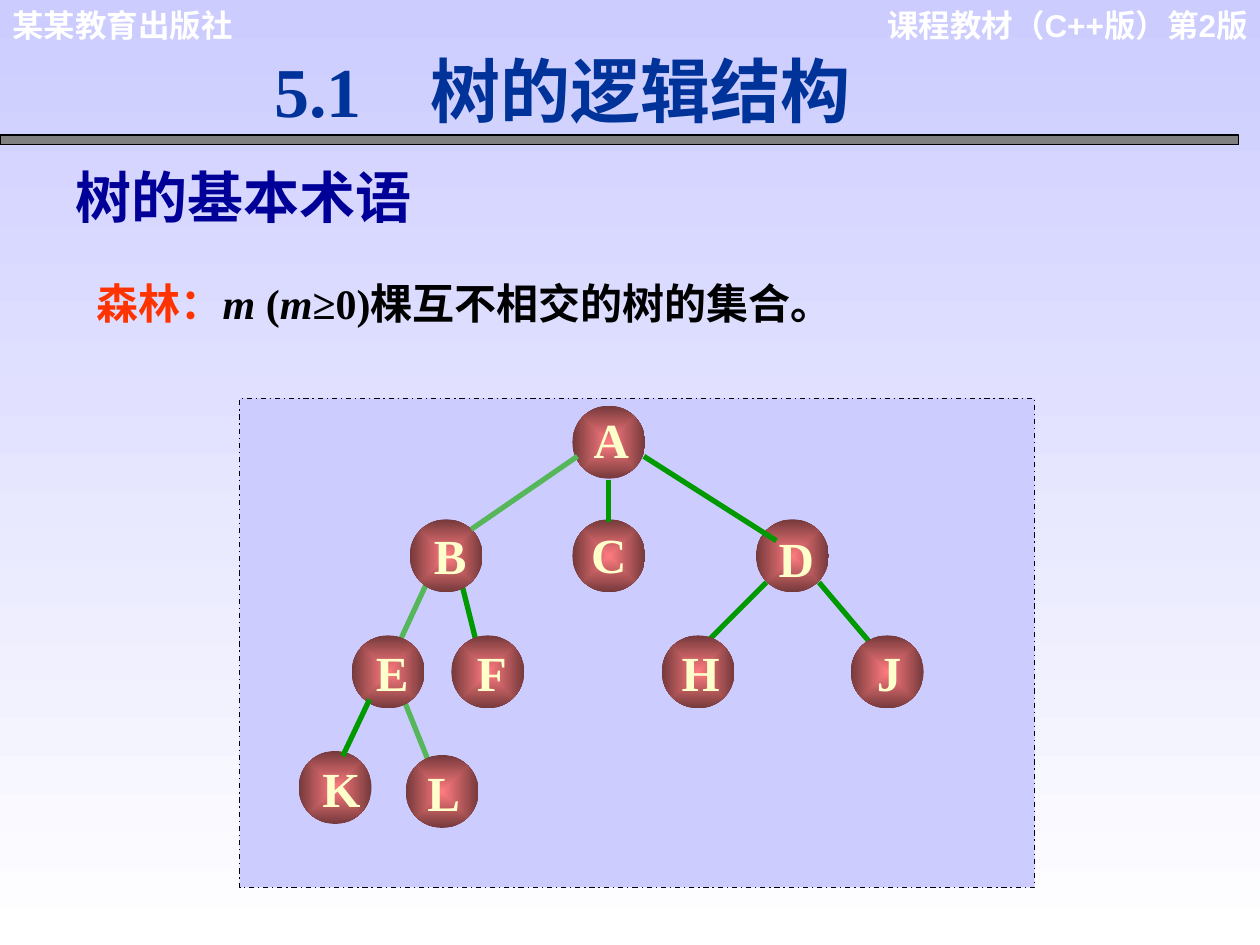
from lxml.etree import SubElement
from pptx import Presentation
from pptx.dml.color import RGBColor
from pptx.enum.dml import MSO_LINE
from pptx.enum.shapes import MSO_CONNECTOR, MSO_SHAPE
from pptx.enum.text import MSO_ANCHOR, MSO_AUTO_SIZE, PP_ALIGN
from pptx.oxml.ns import qn
from pptx.util import Cm, Pt

SERIF, SANS = "Times New Roman", "Arial"
GREEN, PALE_GREEN = "009900", "55B75A"
NODE_SIZE = 1.47
LABEL_W, LABEL_H = 1.2, 1.44

NODES = {
    "A": (6.71, 0.15, 0.05, -0.06),
    "B": (3.43, 2.44, 0.08, -0.01),
    "C": (6.71, 2.44, 0, -0.04),
    "D": (10.41, 2.44, 0.08, 0.04),
    "E": (2.26, 4.78, 0.08, 0.01),
    "F": (4.27, 4.78, 0.08, 0.01),
    "H": (8.51, 4.78, 0.05, 0.01),
    "J": (12.32, 4.78, 0.04, 0.01),
    "K": (1.19, 7.11, 0.13, 0.01),
    "L": (3.35, 7.19, 0.03, 0.01),
}
EDGES_BEHIND = [
    (11.68, 3.71, 12.95, 5.21, GREEN),
    (10.62, 3.71, 9.35, 4.98, GREEN),
    (4.47, 3.71, 4.85, 5.23, GREEN),
    (3.3, 6.05, 3.81, 7.32, PALE_GREEN),
    (3.78, 3.71, 3.25, 4.85, PALE_GREEN),
]
EDGES_FRONT = [
    (2.62, 6.07, 2.08, 7.21, GREEN),
    (8.15, 1.17, 10.82, 2.87, GREEN),
    (6.81, 1.17, 4.67, 2.64, PALE_GREEN),
    (7.44, 1.65, 7.44, 2.49, GREEN),
]


def rgb(color):
    """Turn a hex string into a colour."""
    return RGBColor.from_string(color)


def set_gradient(fill, start, end, angle=270):
    """Fill with a two-stop gradient."""
    fill.gradient()
    fill.gradient_angle = angle
    for stop, color, pos in zip(fill.gradient_stops, (start, end), (0, 1)):
        stop.color.rgb = rgb(color)
        stop.position = pos


def write(s, runs, size, font, align=PP_ALIGN.LEFT, anchor=MSO_ANCHOR.TOP, wrap=True):
    """Write one bold paragraph of (text, colour, italic) runs and return it."""
    tf = s.text_frame
    tf.word_wrap = wrap
    tf.auto_size = MSO_AUTO_SIZE.NONE
    tf.vertical_anchor = anchor
    p = tf.paragraphs[0]
    p.alignment = align
    for text, color, italic in runs:
        r = p.add_run()
        r.text = text
        r.font.size, r.font.name = Pt(size), font
        r.font.bold, r.font.italic = True, italic
        r.font.color.rgb = rgb(color)
    return p


def add_text(shapes, box, runs, size, font, **options):
    """Add a text box and return its paragraph."""
    return write(shapes.add_textbox(*map(Cm, box)), runs, size, font, **options)


def add_panel(shapes, box, color, dash=None):
    """Add a filled rectangle with a thin black outline."""
    s = shapes.add_shape(MSO_SHAPE.RECTANGLE, *map(Cm, box))
    s.shadow.inherit = False
    s.fill.solid()
    s.fill.fore_color.rgb = rgb(color)
    s.line.color.rgb = rgb("000000")
    s.line.width = Pt(0.75)
    if dash:
        s.line.dash_style = dash


def add_edge(shapes, x, y, edge):
    """Add a branch of the tree."""
    x1, y1, x2, y2, color = edge
    c = shapes.add_connector(MSO_CONNECTOR.STRAIGHT, Cm(x + x1), Cm(y + y1), Cm(x + x2), Cm(y + y2))
    c.line.color.rgb = rgb(color)
    c.line.width = Pt(3)
    SubElement(c._element.spPr, qn("a:effectLst"))


def add_node(shapes, x, y):
    """Add a round node shaded from its centre."""
    s = shapes.add_shape(MSO_SHAPE.OVAL, Cm(x), Cm(y), Cm(NODE_SIZE), Cm(NODE_SIZE))
    s.shadow.inherit = False
    set_gradient(s.fill, "FF7C80", "75393B")
    grad = s._element.spPr.find(qn("a:gradFill"))
    grad.remove(grad.find(qn("a:lin")))
    shade = SubElement(grad, qn("a:path"), path="rect")
    SubElement(shade, qn("a:fillToRect"), dict.fromkeys("ltrb", "50000"))
    s.line.fill.background()


def add_tree(slide, box):
    """Draw the tree on its dashed panel."""
    x, y = box[:2]
    shapes = slide.shapes.add_group_shape().shapes
    add_panel(shapes, box, "CCCCFF", MSO_LINE.DASH_DOT)
    for edge in EDGES_BEHIND:
        add_edge(shapes, x, y, edge)
    for left, top, _, _ in NODES.values():
        add_node(shapes, x + left, y + top)
    for letter, (left, top, dx, dy) in NODES.items():
        label = (x + left + dx + (NODE_SIZE - LABEL_W) / 2,
                 y + top + dy + (NODE_SIZE - LABEL_H) / 2, LABEL_W, LABEL_H)
        add_text(shapes, label, [(letter, "FFFFCC", False)], 28, SERIF,
                 align=PP_ALIGN.CENTER, anchor=MSO_ANCHOR.MIDDLE, wrap=False)
    for edge in EDGES_FRONT:
        add_edge(shapes, x, y, edge)


def add_header(slide, box):
    """Place the running heads, the title and the rule below them."""
    x, y, w, h = box
    add_text(slide.shapes, (x + w - 7.9, y, 7.9, 1.78),
             [("课程教材（C++版）第2版", "FFFFFF", False)], 18, SANS, align=PP_ALIGN.RIGHT)
    add_text(slide.shapes, (x, y, 6.88, 1.02), [("某某教育出版社", "FFFFFF", False)], 18, SANS)
    add_panel(slide.shapes, (x, y + h - 0.2, 24.97, 0.2), "808080")
    title = slide.shapes.title
    title.left, title.top, title.width, title.height = map(Cm, (x + 5.28, y + 0.84, 12.27, 1.96))
    p = write(title, [("5.1\t树的逻辑结构", "003399", False)], 40, SERIF, align=PP_ALIGN.JUSTIFY)
    tabs = SubElement(p._p.get_or_add_pPr(), qn("a:tabLst"))
    SubElement(tabs, qn("a:tab"), pos=str(Cm(3.15)), algn="l")


def add_definition(slide, box):
    """Place the section heading and the definition under it."""
    x, y, w, h = box
    add_text(slide.shapes, (x, y, 11, 1.63), [("树的基本术语", "000099", False)], 32, SANS)
    runs = [("森林：", "FF3300", False), ("m", "000000", True), (" (", "000000", False),
            ("m", "000000", True), ("≥0)棵互不相交的树的集合。", "000000", False)]
    p = add_text(slide.shapes, (x + 0.43, y + h - 1.37, w - 0.43, 1.37), runs, 24, SERIF)
    p.line_spacing = 1.1


def main():
    """Build and save the slide."""
    prs = Presentation()
    prs.slide_width, prs.slide_height = Cm(25.4), Cm(19.05)
    slide = prs.slides.add_slide(prs.slide_layouts[5])
    set_gradient(slide.background.fill, "CCCCFF", "FFFFFF")
    add_header(slide, (0, 0, 25.4, 2.92))
    add_tree(slide, (4.83, 8.03, 16.03, 9.86))
    add_definition(slide, (1.27, 3.15, 22.45, 3.58))
    prs.save("out.pptx")


if __name__ == "__main__":
    main()
